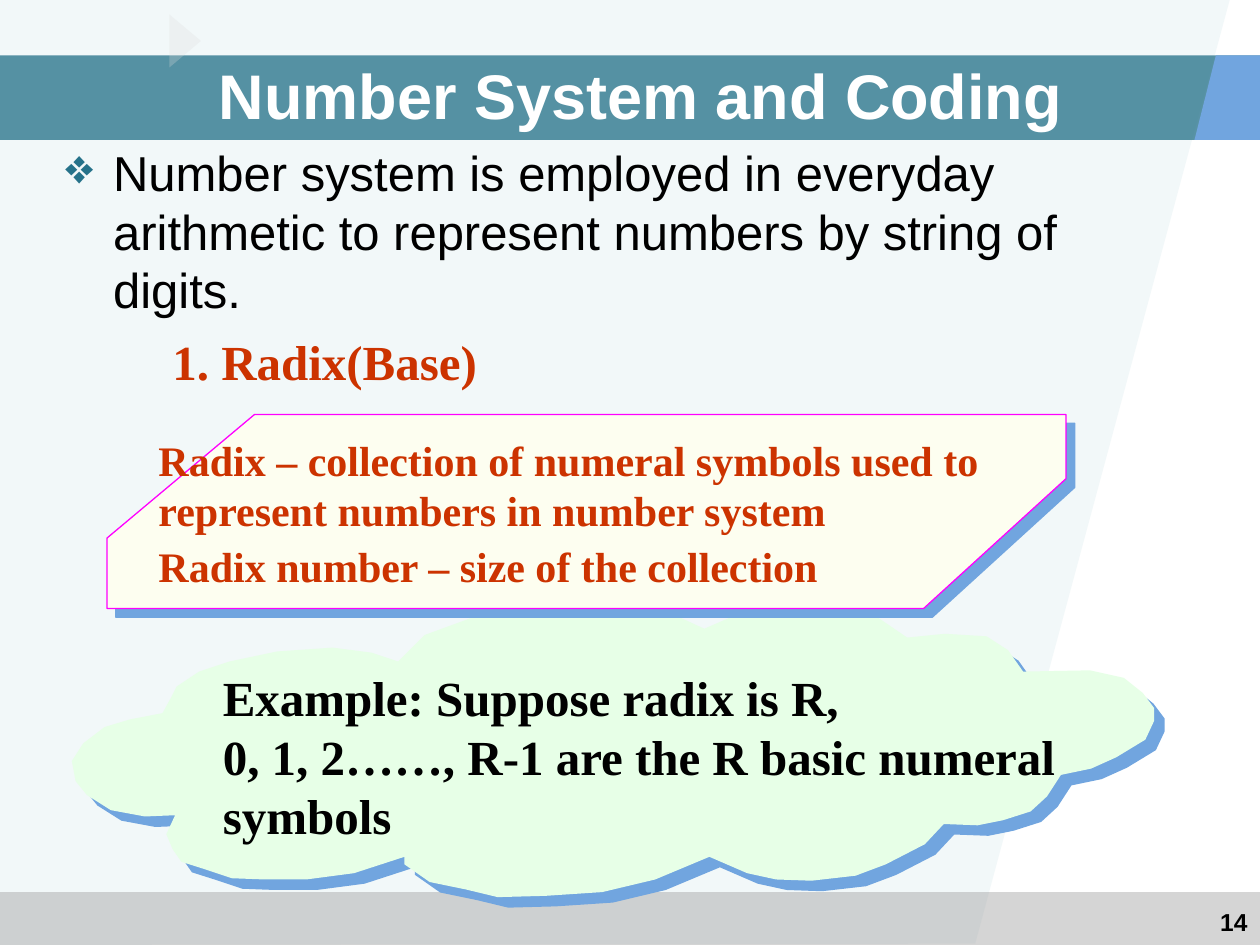
"""Build the slide on number systems and the radix."""
import dataclasses
import typing

import lxml.etree
import pptx
import pptx.dml.color
import pptx.enum.shapes
import pptx.enum.text
import pptx.oxml.ns
import pptx.util

RGB = pptx.dml.color.RGBColor
KIND = pptx.enum.shapes.MSO_SHAPE
ALIGN = pptx.enum.text.PP_ALIGN
COLS, ROWS = 100, 75
CELL = pptx.util.Inches(0.1)

WHITE, BLACK = RGB(255, 255, 255), RGB(0, 0, 0)
TEAL, PALE = RGB(0x26, 0x72, 0x8A), RGB(0x9F, 0xCA, 0xD3)
BLUE, PINK = RGB(0x71, 0xA5, 0xDF), RGB(0xFF, 0x00, 0xFF)
GRAY, SILVER = RGB(0x96, 0x96, 0x96), RGB(0xDD, 0xDD, 0xDD)
MINT, CREAM = RGB(0xE7, 0xFF, 0xE7), RGB(0xFD, 0xFE, 0xF0)
RED = RGB(0xCC, 0x33, 0x00)
SANS, SERIF = "Arial", "Times New Roman"

Box = tuple[float, float, float, float]
Dots = list[tuple[float, float]]


@dataclasses.dataclass
class Look:
    fill: RGB
    alpha: int = 100
    line: typing.Optional[RGB] = None
    shade: float = 0


@dataclasses.dataclass
class Panel:
    kind: KIND
    box: Box
    look: Look
    turn: float = 0


@dataclasses.dataclass
class Outline:
    dots: Dots
    look: Look


@dataclasses.dataclass
class Note:
    box: Box
    lines: list[str]
    size: int
    font: str = SERIF
    color: RGB = RED
    bold: bool = True
    gap: int = 0
    align: ALIGN = ALIGN.LEFT
    wrap: bool = True
    bullet: str = ""


CLOUD = [
    (31.6, 52.5), (33.7, 50.4), (37.8, 48.9), (41.1, 48.2), (43.9, 47.8), (47.4, 47.7),
    (50.4, 48.1), (53.3, 48.7), (55.9, 49.9), (58.2, 48.9), (60.6, 48.2), (64.1, 48),
    (67, 48.3), (69.5, 48.9), (72, 50.6), (75, 50.3), (78.3, 50.5), (80, 51.6),
    (81.2, 53.3), (86.5, 53.2), (89.2, 53.8), (90.7, 55), (91.6, 56.2), (91.6, 57.2),
    (90.9, 58.7), (88.6, 60.1), (86.6, 61), (84.2, 61.5), (83.1, 63.2), (81.8, 64.4),
    (79.6, 65.1), (77.6, 65.5), (74.9, 65.4), (73.4, 67), (70.3, 68.6), (67.9, 69.5),
    (64.4, 69.9), (61.6, 69.8), (59.3, 69.3), (56.3, 68), (52, 69.8), (47.8, 70.8),
    (43.3, 71.1), (39.5, 71.2), (37, 70.6), (34.1, 70), (32.1, 68.6), (32.1, 68),
    (28.1, 69.3), (24.3, 69.8), (21, 69.8), (18.4, 69.7), (16.3, 69), (14.4, 68.4),
    (13.7, 67.4), (13.2, 66.2), (13.9, 64.7), (11.5, 64.8), (8.8, 64.3), (6.9, 63.1),
    (6, 62), (5.7, 60.4), (6.6, 59), (8.3, 57.7), (10.3, 57.1), (12.9, 56.6),
    (13.5, 55.5), (14, 54.5), (15.8, 53.3), (18.2, 52.5), (22, 51.7), (26.4, 51.4),
    (29.5, 51.8),
]
CARD = [(20.2, 32.9), (8.5, 42.7), (8.5, 48.3), (73.3, 48.3), (84.6, 38), (84.6, 32.9)]

BACK = [
    Outline([(0, 0), (97.6, 0), (77.4, 74.9), (0, ROWS)], Look(PALE, 13)),
    Panel(KIND.RECTANGLE, (0, 70.8, COLS, 4.2), Look(GRAY, 40)),
    Panel(KIND.RECTANGLE, (0, 4.4, COLS, 6.7), Look(TEAL, 77)),
    Outline([(96.5, 4.4), (94.8, 11.1), (COLS, 11.1), (COLS, 4.4)], Look(BLUE)),
    Panel(KIND.ISOSCELES_TRIANGLE, (12.6, 2, 4.2, 2.5), Look(SILVER, 27), 90),
    Note((76.7, 71.5, 23.3, 3.5), ["14"], 14, SANS, BLACK, align=ALIGN.RIGHT),
]
FRONT = [
    Outline(CLOUD, Look(MINT, shade=8.5)),
    Note((16.7, 52.5, 69.9, 15),
         ["Example: Suppose radix is R,", "0, 1, 2……, R-1 are the R basic numeral symbols"],
         28, color=BLACK),
    Outline(CARD, Look(CREAM, line=PINK, shade=7.1)),
    Note((12.7, 25.8, 26.1, 5.7), ["1. Radix(Base)"], 28, wrap=False),
    Note((11.6, 34, 71.4, 13.4),
         ["Radix – collection of numeral symbols used to represent numbers in number system",
          "Radix number – size of the collection"], 24, gap=3),
    Note((4.2, 10.8, 90, 15),
         ["Number system is employed in everyday arithmetic to represent numbers "
          "by string of digits."], 28, SANS, BLACK, False, 7, bullet="❖"),
]
TITLE = Note((5, 5, 91.7, 5), ["Number System and Coding"], 36, SANS, WHITE, align=ALIGN.CENTER)


def span(cells: float) -> int:
    """Turn grid cells into a length."""
    return round(cells * CELL)


def sub(node, tag: str, **attrs: str):
    """Add a child element from the drawing namespace."""
    return lxml.etree.SubElement(node, pptx.oxml.ns.qn(tag), attrs)


def style(shape, look: Look) -> None:
    """Set fill, line and shadow."""
    shape.shadow.inherit = False
    shape.fill.solid()
    shape.fill.fore_color.rgb = look.fill
    props = shape._element.spPr
    if look.alpha < 100:
        tint = props.find(".//" + pptx.oxml.ns.qn("a:srgbClr"))
        sub(tint, "a:alpha", val=str(look.alpha * 1000))
    if look.line is None:
        shape.line.fill.background()
    else:
        shape.line.color.rgb = look.line
        shape.line.width = pptx.util.Pt(0.75)
    if look.shade:
        glow = sub(props.find(pptx.oxml.ns.qn("a:effectLst")), "a:outerShdw",
                   dist=str(pptx.util.Pt(look.shade)), dir="2700000",
                   algn="ctr", rotWithShape="0")
        sub(glow, "a:srgbClr", val=str(BLUE))


def mark(para, sign: str) -> None:
    """Give a paragraph a hanging bullet."""
    props = para._p.get_or_add_pPr()
    hang = span(3.8)
    props.set("marL", str(hang))
    props.set("indent", str(-hang))
    sub(sub(props, "a:buClr"), "a:srgbClr", val=str(TEAL))
    sub(props, "a:buChar", char=sign)


def write(shape, note: Note) -> None:
    """Fill a text frame and format its runs."""
    frame = shape.text_frame
    frame.text = "\n".join(note.lines)
    frame.word_wrap = note.wrap
    frame.auto_size = pptx.enum.text.MSO_AUTO_SIZE.NONE
    for para in frame.paragraphs:
        para.alignment = note.align
        para.space_before = pptx.util.Pt(note.gap)
        if note.bullet:
            mark(para, note.bullet)
        for run in para.runs:
            font = run.font
            font.name, font.size, font.bold = note.font, pptx.util.Pt(note.size), note.bold
            font.color.rgb = note.color


def draw(shapes, item: Panel | Outline | Note) -> None:
    """Draw one element of the slide."""
    if isinstance(item, Outline):
        dots = [(span(x), span(y)) for x, y in item.dots]
        pen = shapes.build_freeform(*dots[0], scale=1.0)
        pen.add_line_segments(dots[1:], close=True)
        style(pen.convert_to_shape(), item.look)
    elif isinstance(item, Panel):
        shape = shapes.add_shape(item.kind, *map(span, item.box))
        shape.rotation = item.turn
        style(shape, item.look)
    else:
        write(shapes.add_textbox(*map(span, item.box)), item)


def head(shapes, note: Note) -> None:
    """Place the title above the band."""
    title = shapes.title
    title.left, title.top, title.width, title.height = map(span, note.box)
    write(title, note)
    title.text_frame.vertical_anchor = pptx.enum.text.MSO_ANCHOR.MIDDLE
    shapes._spTree.append(title._element)


def main() -> None:
    """Build and save the deck."""
    deck = pptx.Presentation()
    deck.slide_width, deck.slide_height = span(COLS), span(ROWS)
    shapes = deck.slides.add_slide(deck.slide_layouts[5]).shapes
    for item in BACK:
        draw(shapes, item)
    head(shapes, TITLE)
    for item in FRONT:
        draw(shapes, item)
    deck.save("out.pptx")


if __name__ == "__main__":
    main()
